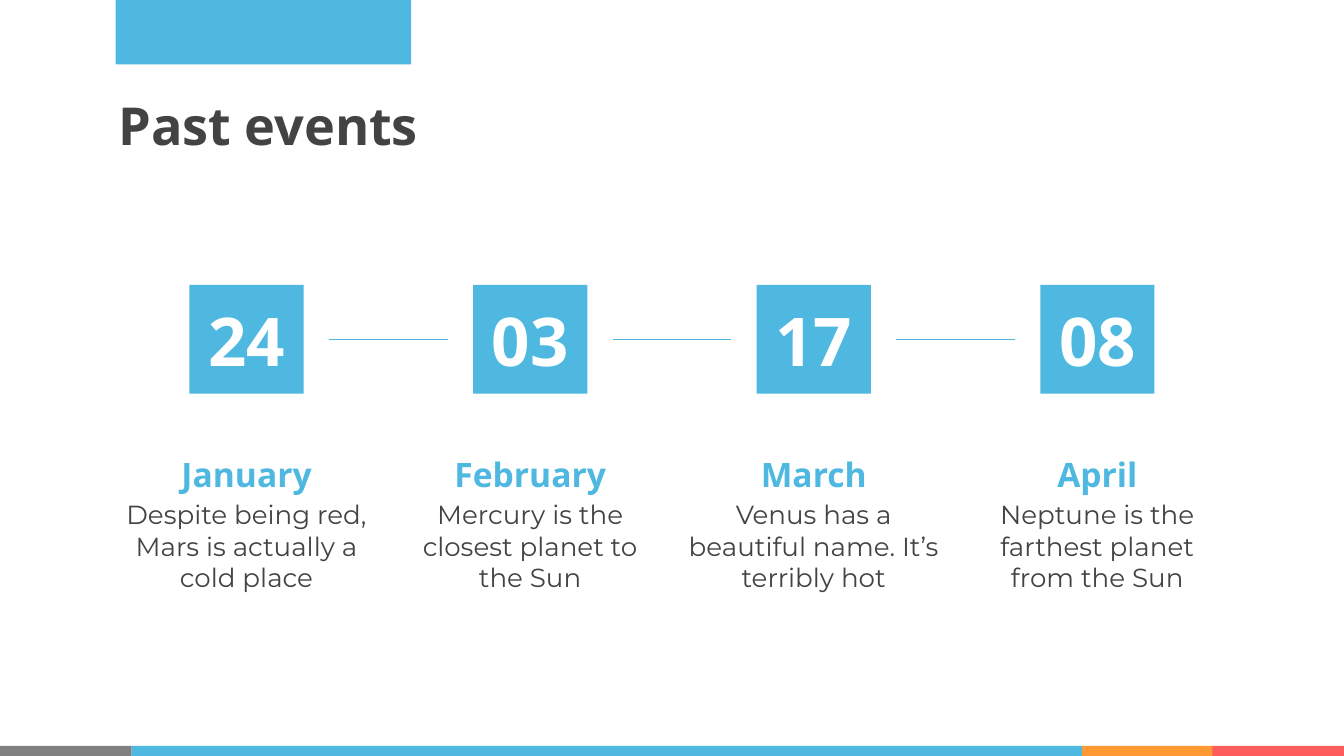
from pptx import Presentation
from pptx.dml.color import RGBColor
from pptx.enum.shapes import MSO_CONNECTOR as Connector, MSO_SHAPE as Shape
from pptx.enum.text import MSO_ANCHOR as Anchor, MSO_AUTO_SIZE as AutoSize, PP_ALIGN as Align
from pptx.oxml.ns import qn
from pptx.util import Inches, Pt

BLUE, GRAY, ORANGE, RED = "4EB8E1", "808080", "FF9933", "FF5D5D"
DARK, WHITE = "434343", "FFFFFF"
HEADING_FONT, BODY_FONT = "Open Sans", "Montserrat"

LEFT, COLUMN_WIDTH = 0.78, 2.11
DATE_TOP, DATE_WIDTH, DATE_HEIGHT = 2.12, 0.85, 0.81
LINE_GAP = 0.19

EVENTS = [
    ("24", "January", "Despite being red, Mars is actually a cold place"),
    ("03", "February", "Mercury is the closest planet to the Sun"),
    ("17", "March", "Venus has a beautiful name. It’s terribly hot"),
    ("08", "April", "Neptune is the farthest planet from the Sun"),
]
FOOTER_BANDS = [(8.05, 0.98, ORANGE), (9.02, 0.98, RED), (0, 0.98, GRAY), (0.98, 7.07, BLUE)]


def color(value):
    return RGBColor.from_string(value)


def write(shape, text, size, fill, font=HEADING_FONT, bold=True,
          align=Align.CENTER, anchor=Anchor.TOP, spacing=1.0, after=0):
    frame = shape.text_frame
    frame.word_wrap = True
    frame.auto_size = AutoSize.NONE
    frame.vertical_anchor = anchor
    frame.margin_left = frame.margin_right = Inches(0.1)
    frame.margin_top = frame.margin_bottom = Inches(0.1)
    para = frame.paragraphs[0]
    para.alignment = align
    para.line_spacing = spacing
    para.space_before = Pt(0)
    para.space_after = Pt(after)
    span = para.add_run()
    span.text = text
    span.font.name = font
    span.font.size = Pt(size)
    span.font.bold = bold
    span.font.color.rgb = color(fill)


def add_block(slide, left, top, width, height, fill):
    block = slide.shapes.add_shape(
        Shape.RECTANGLE, Inches(left), Inches(top), Inches(width), Inches(height))
    block.shadow.inherit = False
    block.fill.solid()
    block.fill.fore_color.rgb = color(fill)
    block.line.fill.background()
    return block


def add_text(slide, left, top, width, height, text, **text_format):
    box = slide.shapes.add_textbox(Inches(left), Inches(top), Inches(width), Inches(height))
    write(box, text, **text_format)


def add_line(slide, start, end, y):
    line = slide.shapes.add_connector(
        Connector.STRAIGHT, Inches(start), Inches(y), Inches(end), Inches(y))
    line.line.color.rgb = color(BLUE)
    line.line.width = Pt(0.75)
    properties = line._element.spPr
    properties.append(properties.makeelement(qn("a:effectLst"), {}))


def set_title(slide, text):
    title = slide.shapes.title
    title.left, title.top = Inches(LEFT), Inches(0.59)
    title.width, title.height = Inches(8.88), Inches(0.68)
    write(title, text, size=28, fill=DARK, align=Align.LEFT)


def add_event(slide, left, day, month, description):
    date_left = left + (COLUMN_WIDTH - DATE_WIDTH) / 2
    date = add_block(slide, date_left, DATE_TOP, DATE_WIDTH, DATE_HEIGHT, BLUE)
    write(date, day, size=36, fill=WHITE, anchor=Anchor.MIDDLE)
    add_text(slide, left, 3.23, COLUMN_WIDTH, 0.42, month,
             size=18, fill=BLUE, spacing=1.15, after=16)
    add_text(slide, left, 3.61, COLUMN_WIDTH, 0.81, description,
             size=14, fill=DARK, font=BODY_FONT, bold=False)


def add_timeline(slide):
    reach = (COLUMN_WIDTH - DATE_WIDTH) / 2 - LINE_GAP
    for index, event in enumerate(EVENTS):
        left = LEFT + index * COLUMN_WIDTH
        add_event(slide, left, *event)
        if index:
            # The line crosses the column edge shared with the previous event.
            add_line(slide, left - reach, left + reach, DATE_TOP + DATE_HEIGHT / 2)


def main():
    deck = Presentation()
    deck.slide_width = Inches(10)
    deck.slide_height = deck.slide_width * 9 // 16
    slide = deck.slides.add_slide(deck.slide_layouts.get_by_name("Title Only"))
    for left, width, fill in FOOTER_BANDS:
        add_block(slide, left, 5.55, width, 0.08, fill)
    set_title(slide, "Past events")
    add_timeline(slide)
    add_block(slide, 0.86, 0, 2.2, 0.48, BLUE)
    deck.save("out.pptx")


if __name__ == "__main__":
    main()
